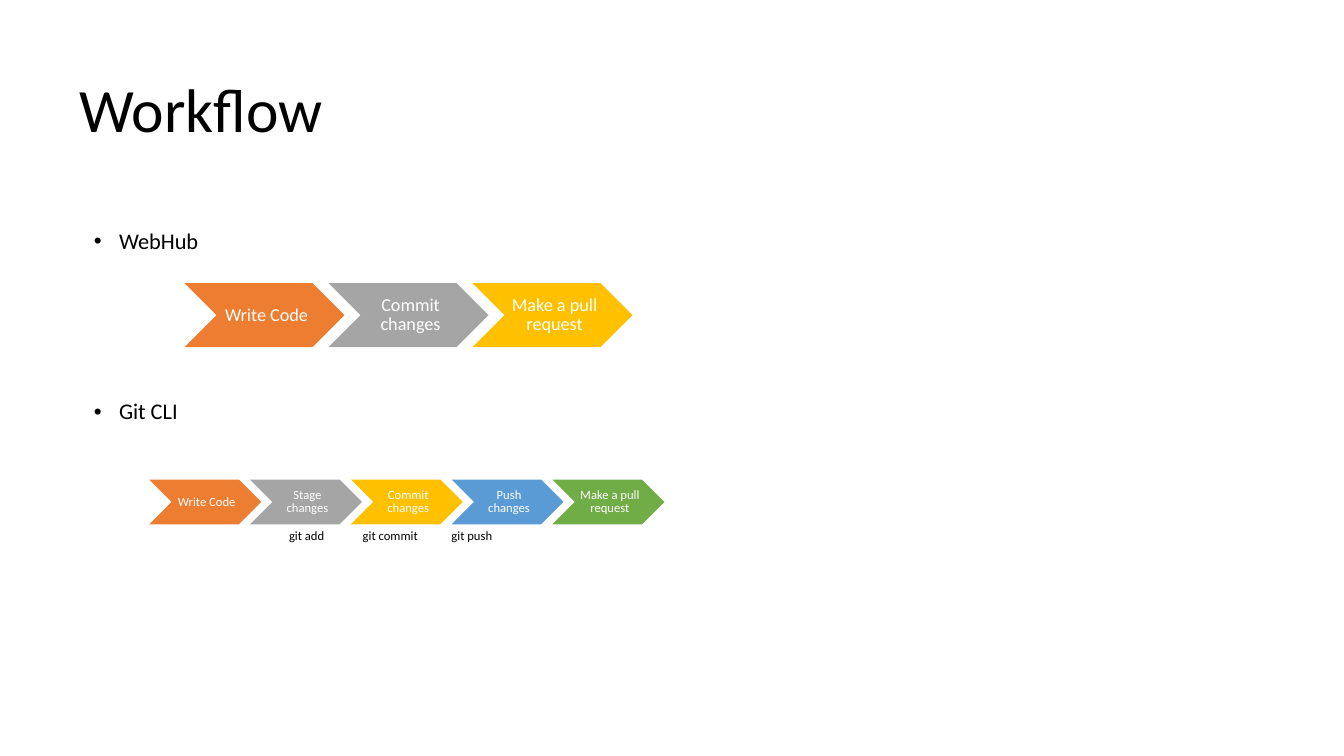
from pptx import Presentation
from pptx.dml.color import RGBColor
from pptx.enum.shapes import MSO_SHAPE
from pptx.enum.text import MSO_ANCHOR, MSO_AUTO_SIZE, PP_ALIGN
from pptx.util import Pt

CHEVRON = MSO_SHAPE.CHEVRON
MIDDLE, TOP = MSO_ANCHOR.MIDDLE, MSO_ANCHOR.TOP
LEFT, CENTER = PP_ALIGN.LEFT, PP_ALIGN.CENTER
NO_AUTOFIT = MSO_AUTO_SIZE.NONE

FONT = "Calibri"
BLACK = RGBColor(0x00, 0x00, 0x00)
WHITE = RGBColor(0xFF, 0xFF, 0xFF)
ORANGE = RGBColor(0xED, 0x7D, 0x31)
GRAY = RGBColor(0xA5, 0xA5, 0xA5)
GOLD = RGBColor(0xFF, 0xC0, 0x00)
BLUE = RGBColor(0x5B, 0x9B, 0xD5)
GREEN = RGBColor(0x70, 0xAD, 0x47)
STEP_COLORS = [ORANGE, GRAY, GOLD, BLUE, GREEN]

WEB_STEPS = ["Write Code", "Commit changes", "Make a pull request"]
CLI_STEPS = ["Write Code", "Stage changes", "Commit changes", "Push changes",
             "Make a pull request"]
COMMANDS = [("git add", 199.4, 52.6), ("git commit", 252, 59), ("git push", 315.4, 59)]


def format_paragraph(p, size, color, align=LEFT, spacing=0.9):
    p.font.name = FONT
    p.font.size = Pt(size)
    p.font.color.rgb = color
    p.alignment = align
    p.line_spacing = spacing


def place(sp, left, top, width, height):
    sp.left, sp.top, sp.width, sp.height = Pt(left), Pt(top), Pt(width), Pt(height)


def set_title(sp, text):
    place(sp, 49.7, 28.1, 828, 104.4)
    tf = sp.text_frame
    tf.text = text
    tf.auto_size = NO_AUTOFIT
    tf.vertical_anchor = MIDDLE
    format_paragraph(tf.paragraphs[0], 44, BLACK)


def set_bullets(sp, items, first_offset, gap):
    """Fill the body; gap is the space between one item and the next."""
    place(sp, 59.8, 117.4, 828, 342.7)
    tf = sp.text_frame
    tf.text = "\n".join(items)
    tf.auto_size = NO_AUTOFIT
    tf.vertical_anchor = TOP
    tf.margin_top = Pt(first_offset)
    for i, p in enumerate(tf.paragraphs):
        format_paragraph(p, 16, BLACK)
        p.space_before = Pt(gap if i else 0)
        pPr = p._p.get_or_add_pPr()
        pPr.set("marL", str(Pt(18)))
        pPr.set("indent", str(Pt(-18)))


def add_process(slide, steps, left, top, width, size):
    """Add a row of chevrons, each overlapping the box of the one before by a tenth."""
    group = slide.shapes.add_group_shape()
    height = 0.4 * width
    for i, (step, color) in enumerate(zip(steps, STEP_COLORS)):
        sp = group.shapes.add_shape(CHEVRON, Pt(left + i * 0.9 * width), Pt(top),
                                    Pt(width), Pt(height))
        sp.shadow.inherit = False
        sp.fill.solid()
        sp.fill.fore_color.rgb = color
        sp.line.fill.background()
        tf = sp.text_frame
        tf.text = step
        tf.word_wrap = True
        tf.vertical_anchor = MIDDLE
        tf.margin_left = Pt(size / 3)
        tf.margin_top = tf.margin_right = tf.margin_bottom = Pt(size / 9)
        format_paragraph(tf.paragraphs[0], size, WHITE, CENTER)


def add_command(slide, text, left, width):
    sp = slide.shapes.add_textbox(Pt(left), Pt(373.7), Pt(width), Pt(18))
    tf = sp.text_frame
    tf.text = text
    tf.word_wrap = True
    format_paragraph(tf.paragraphs[0], 9, BLACK, spacing=1.0)


def main():
    prs = Presentation()
    prs.slide_width, prs.slide_height = Pt(960), Pt(540)
    slide = prs.slides.add_slide(prs.slide_layouts[1])
    set_title(slide.shapes.title, "Workflow")
    set_bullets(slide.placeholders[1], ["WebHub", "Git CLI"], 47, 104.5)
    add_process(slide, WEB_STEPS, 131.8, 202.2, 114.3, 13)
    add_process(slide, CLI_STEPS, 106.6, 342.5, 80, 9)
    for text, left, width in COMMANDS:
        add_command(slide, text, left, width)
    prs.save("out.pptx")


if __name__ == "__main__":
    main()
